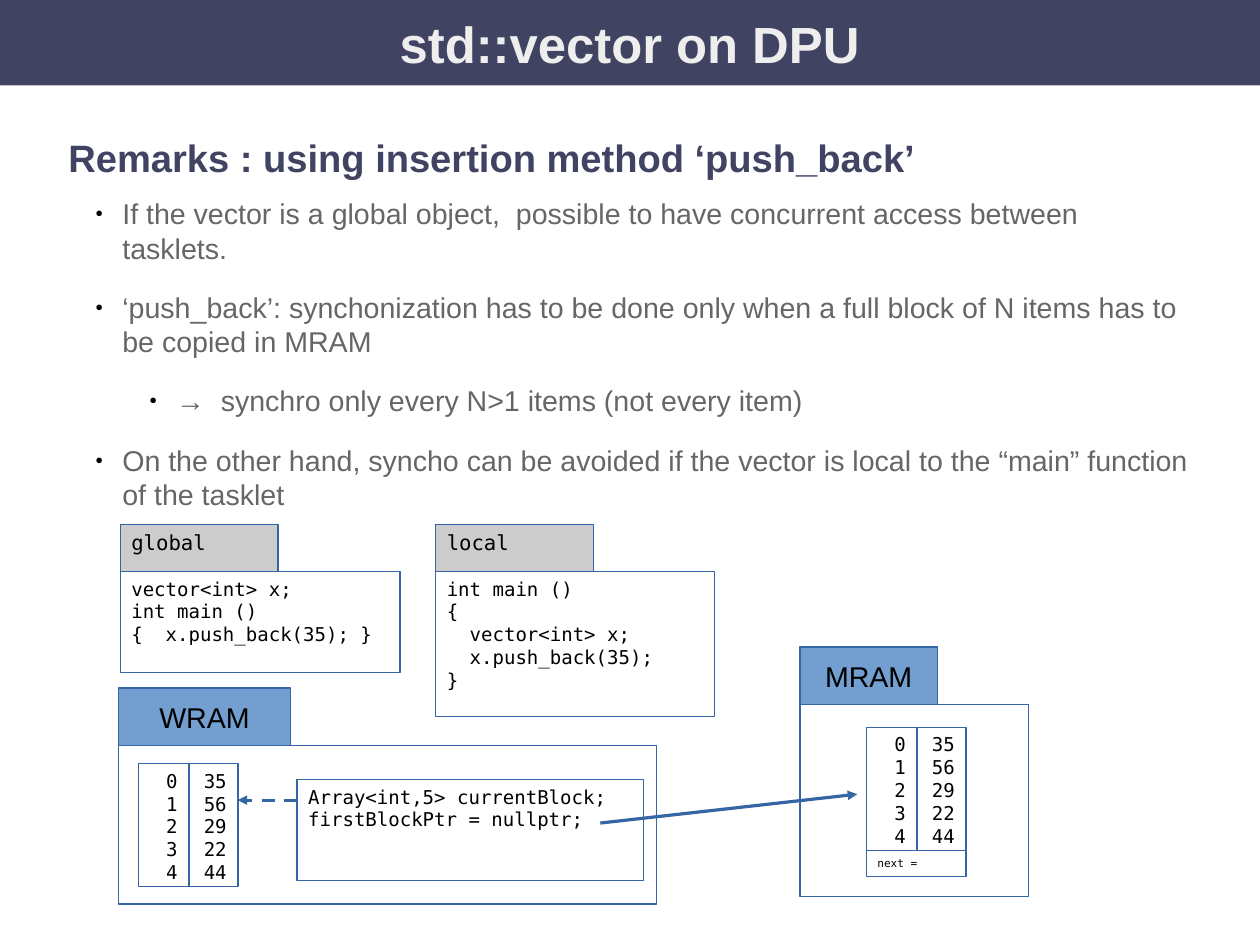
import dataclasses

import lxml.etree
import pptx
import pptx.dml.color
import pptx.enum.dml
import pptx.enum.shapes
import pptx.enum.text
import pptx.oxml
import pptx.oxml.ns
import pptx.util

Cm = pptx.util.Cm
Pt = pptx.util.Pt
ALIGN = pptx.enum.text.PP_ALIGN
ANCHOR = pptx.enum.text.MSO_ANCHOR


@dataclasses.dataclass(frozen=True)
class Theme:
    navy: str = "414363"
    title: str = "EEEEEE"
    body: str = "666666"
    ink: str = "000000"
    outline: str = "3465A4"
    memory: str = "729FCF"
    tab: str = "CCCCCC"
    sans: str = "Arial"
    mono: str = "DejaVu Sans Mono"
    title_size: int = 32
    heading_size: int = 24
    body_size: int = 18
    tab_size: int = 13
    code_size: int = 12
    note_size: int = 7


THEME = Theme()
INDEXES = "0\n1\n2\n3\n4"
ITEMS = "35\n56\n29\n22\n44"
REMARKS = [
    (1, "If the vector is a global object,  possible to have concurrent access between tasklets."),
    (1, "‘push_back’: synchonization has to be done only when a full block of N items has to be copied in MRAM"),
    (3, "→  synchro only every N>1 items (not every item)"),
    (1, "On the other hand, syncho can be avoided if the vector is local to the “main” function of the tasklet"),
]
GLOBAL_CODE = "vector<int> x;\nint main ()\n{  x.push_back(35); }"
LOCAL_CODE = "int main ()\n{\n  vector<int> x;\n  x.push_back(35);\n}"
BLOCK_CODE = "Array<int,5> currentBlock;\nfirstBlockPtr = nullptr;"


def rgb(colour):
    return pptx.dml.color.RGBColor.from_string(colour)


def write(paragraph, text, *, size=THEME.code_size, font=THEME.mono,
          colour=THEME.ink, bold=False, align=ALIGN.LEFT):
    paragraph.alignment = align
    run = paragraph.add_run()
    run.text = text
    run.font.size = Pt(size)
    run.font.name = font
    run.font.bold = bold
    run.font.color.rgb = rgb(colour)


def add_bullet(paragraph, level):
    paragraph.level = level
    paragraph.space_before = Pt(10)
    paragraph.space_after = Pt(5.7)
    properties = paragraph._p.get_or_add_pPr()
    properties.set("marL", str(Cm(1.2 if level == 1 else 2.4)))
    properties.set("indent", str(Cm(-0.6)))
    for xml in (
        f'<a:buClr {{}}><a:srgbClr val="{THEME.ink}"/></a:buClr>',
        '<a:buSzPct {} val="45000"/>',
        f'<a:buFont {{}} typeface="{THEME.sans}"/>',
        '<a:buChar {} char="●"/>',
    ):
        properties.append(pptx.oxml.parse_xml(xml.format(pptx.oxml.ns.nsdecls("a"))))


def add_box(slide, left, top, width, height, text="", *, fill=None,
            line=THEME.outline, anchor=ANCHOR.TOP, **text_format):
    box = slide.shapes.add_shape(
        pptx.enum.shapes.MSO_SHAPE.RECTANGLE, Cm(left), Cm(top), Cm(width), Cm(height))
    box.shadow.inherit = False
    if fill:
        box.fill.solid()
        box.fill.fore_color.rgb = rgb(fill)
    else:
        box.fill.background()
    if line:
        box.line.color.rgb = rgb(line)
        box.line.width = Pt(0)
    else:
        box.line.fill.background()
    frame = box.text_frame
    frame.word_wrap = True
    frame.vertical_anchor = anchor
    if text:
        for number, row in enumerate(text.split("\n")):
            paragraph = frame.add_paragraph() if number else frame.paragraphs[0]
            write(paragraph, row, **text_format)


def add_memory(slide, name, left, top, width, height, tab_width):
    tab_height = 1.27
    add_box(slide, left, top + tab_height, width, height)
    add_box(slide, left, top, tab_width, tab_height, name, fill=THEME.memory,
            anchor=ANCHOR.MIDDLE, size=THEME.body_size, font=THEME.sans,
            align=ALIGN.CENTER)


def add_array(slide, left, top):
    index_width = 1.13
    add_box(slide, left, top, index_width, 2.74, INDEXES, align=ALIGN.RIGHT)
    add_box(slide, left + index_width, top, 1.09, 2.74, ITEMS, align=ALIGN.RIGHT)


def add_listing(slide, name, code, left, width, height):
    top, tab_height = 11.66, 1.04
    add_box(slide, left, top + tab_height, width, height, code)
    add_box(slide, left, top, 3.51, tab_height, name, fill=THEME.tab, size=THEME.tab_size)


def add_arrow(slide, start, end, dashed=False):
    arrow = slide.shapes.add_connector(
        pptx.enum.shapes.MSO_CONNECTOR.STRAIGHT, *map(Cm, start + end))
    arrow.line.color.rgb = rgb(THEME.outline)
    arrow.line.width = Pt(0)
    if dashed:
        arrow.line.dash_style = pptx.enum.dml.MSO_LINE.DASH
    head = lxml.etree.SubElement(arrow.line._get_or_add_ln(), pptx.oxml.ns.qn("a:tailEnd"))
    head.set("type", "triangle")
    lxml.etree.SubElement(arrow._element.spPr, pptx.oxml.ns.qn("a:effectLst"))


def add_remarks(slide):
    frame = slide.shapes.add_textbox(Cm(1.27), Cm(2.87), Cm(25.4), Cm(9.55)).text_frame
    frame.word_wrap = True
    write(frame.paragraphs[0], "Remarks : using insertion method ‘push_back’",
          size=THEME.heading_size, font=THEME.sans, colour=THEME.navy, bold=True)
    for level, remark in REMARKS:
        paragraph = frame.add_paragraph()
        add_bullet(paragraph, level)
        write(paragraph, remark, size=THEME.body_size, font=THEME.sans, colour=THEME.body)


def main():
    deck = pptx.Presentation()
    deck.slide_width, deck.slide_height = Cm(28), Cm(21)
    slide = deck.slides.add_slide(deck.slide_layouts[6])

    add_box(slide, 0, 0, 28, 1.9, "std::vector on DPU", fill=THEME.navy, line=None,
            anchor=ANCHOR.MIDDLE, size=THEME.title_size, font=THEME.sans,
            colour=THEME.title, bold=True, align=ALIGN.CENTER)
    add_remarks(slide)

    add_listing(slide, "global", GLOBAL_CODE, 2.67, 6.22, 2.24)
    add_listing(slide, "local", LOCAL_CODE, 9.68, 6.2, 3.23)

    add_memory(slide, "MRAM", 17.78, 14.38, 5.08, 4.27, 3.05)
    add_array(slide, 19.25, 16.16)
    add_box(slide, 19.25, 18.9, 2.22, 0.58, "next =", size=THEME.note_size)

    add_memory(slide, "WRAM", 2.64, 15.29, 11.96, 3.53, 3.81)
    add_array(slide, 3.07, 16.97)
    add_box(slide, 6.6, 17.32, 7.7, 2.24, BLOCK_CODE)

    add_arrow(slide, (6.6, 17.78), (5.28, 17.78), dashed=True)
    add_arrow(slide, (13.34, 18.29), (19.05, 17.65))

    deck.save("out.pptx")


if __name__ == "__main__":
    main()
